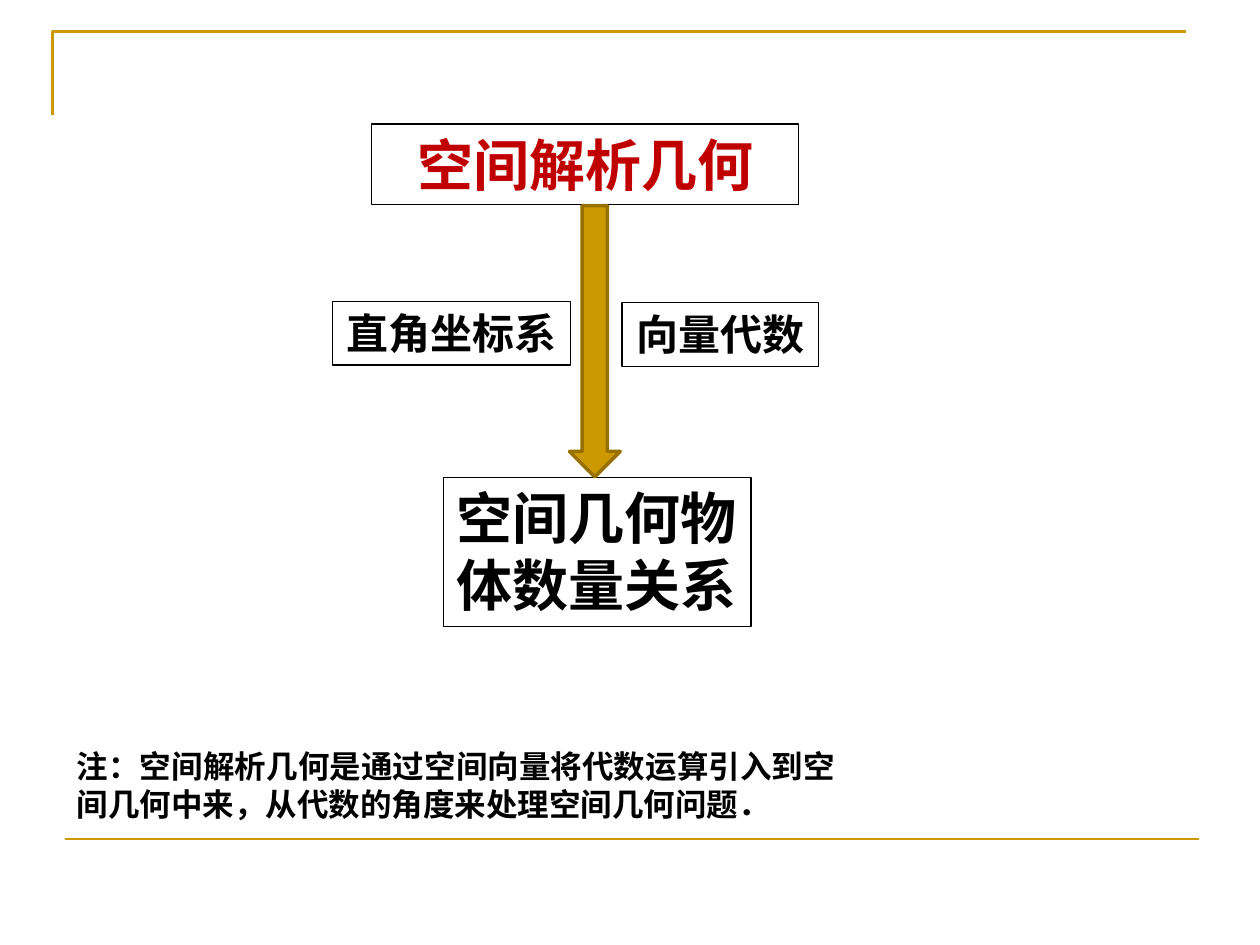
from dataclasses import dataclass

from lxml import etree
from pptx import Presentation
from pptx.dml.color import RGBColor
from pptx.enum import shapes, text
from pptx.oxml.ns import qn
from pptx.util import Pt


@dataclass(frozen=True)
class Theme:
    font: str = "Arial"
    gold: str = "CC9900"
    dark_gold: str = "977100"
    red: str = "C00000"
    black: str = "000000"
    white: str = "FFFFFF"
    heading: float = 32
    label: float = 24
    note: float = 18
    rule: float = 1.5
    border: float = 0.75
    arrow_border: float = 2


THEME = Theme()


@dataclass(frozen=True)
class Box:
    """A bordered label; lengths in points."""
    words: str
    left: float
    top: float
    width: float
    height: float
    size: float
    color: str = THEME.black
    align: text.PP_ALIGN = text.PP_ALIGN.CENTER


BOXES = [
    Box("空间几何物体数量关系", 253.6, 272.9, 175.7, 85, THEME.heading,
        align=text.PP_ALIGN.LEFT),
    Box("向量代数", 355.5, 172.9, 112.4, 36.4, THEME.label),
    Box("直角坐标系", 190.1, 172.2, 136.1, 36.4, THEME.label),
    Box("空间解析几何", 212.5, 70.8, 244, 46.1, THEME.heading, THEME.red),
]
NOTE = ("注：空间解析几何是通过空间向量将代数运算引入到空间几何中来，"
        "从代数的角度来处理空间几何问题．")


def set_line(sp, color: str, width: float) -> None:
    sp.line.color.rgb = RGBColor.from_string(color)
    sp.line.width = Pt(width)


def add_preset(s, kind, bounds, fill: str, line: str, width: float):
    sp = s.shapes.add_shape(kind, *map(Pt, bounds))
    sp.shadow.inherit = False
    sp.fill.solid()
    sp.fill.fore_color.rgb = RGBColor.from_string(fill)
    set_line(sp, line, width)
    return sp


def write(sp, words: str, *, size: float, color: str = THEME.black,
          align=text.PP_ALIGN.LEFT, anchor=text.MSO_ANCHOR.TOP, spacing=None) -> None:
    tf = sp.text_frame
    tf.word_wrap = True
    tf.auto_size = text.MSO_AUTO_SIZE.SHAPE_TO_FIT_TEXT
    tf.vertical_anchor = anchor
    p = tf.paragraphs[0]
    p.alignment = align
    if spacing:
        p.line_spacing = Pt(spacing)
    r = p.add_run()
    r.text = words
    r.font.name = THEME.font
    r.font.size = Pt(size)
    r.font.bold = True
    r.font.color.rgb = RGBColor.from_string(color)


def add_frame(s) -> None:
    """Draw the corner rule at the top and the straight rule at the bottom."""
    builder = s.shapes.build_freeform(Pt(30), Pt(66), scale=1.0)
    builder.add_line_segments([(Pt(30), Pt(18)), (Pt(678), Pt(18))], close=False)
    corner = builder.convert_to_shape()
    corner.shadow.inherit = False
    corner.fill.background()
    set_line(corner, THEME.gold, THEME.rule)

    rule = s.shapes.add_connector(shapes.MSO_CONNECTOR.STRAIGHT,
                                  Pt(36.9), Pt(479.5), Pt(684.9), Pt(479.5))
    set_line(rule, THEME.gold, THEME.rule)
    etree.SubElement(rule._element.spPr, qn("a:effectLst"))


def add_box(s, box: Box) -> None:
    sp = add_preset(s, shapes.MSO_SHAPE.RECTANGLE,
                    (box.left, box.top, box.width, box.height),
                    THEME.white, THEME.black, THEME.border)
    write(sp, box.words, size=box.size, color=box.color, align=box.align)


def main() -> None:
    prs = Presentation()
    prs.slide_width, prs.slide_height = Pt(720), Pt(540)
    s = prs.slides.add_slide(prs.slide_layouts[6])
    add_frame(s)
    for box in BOXES:
        add_box(s, box)
    add_preset(s, shapes.MSO_SHAPE.DOWN_ARROW, (325.4, 117.5, 29, 155),
               THEME.gold, THEME.dark_gold, THEME.arrow_border)
    note = s.shapes.add_textbox(Pt(36.7), Pt(423.4), Pt(447.8), Pt(51))
    write(note, NOTE, size=THEME.note, align=text.PP_ALIGN.JUSTIFY, spacing=21.6)
    prs.save("out.pptx")


if __name__ == "__main__":
    main()
